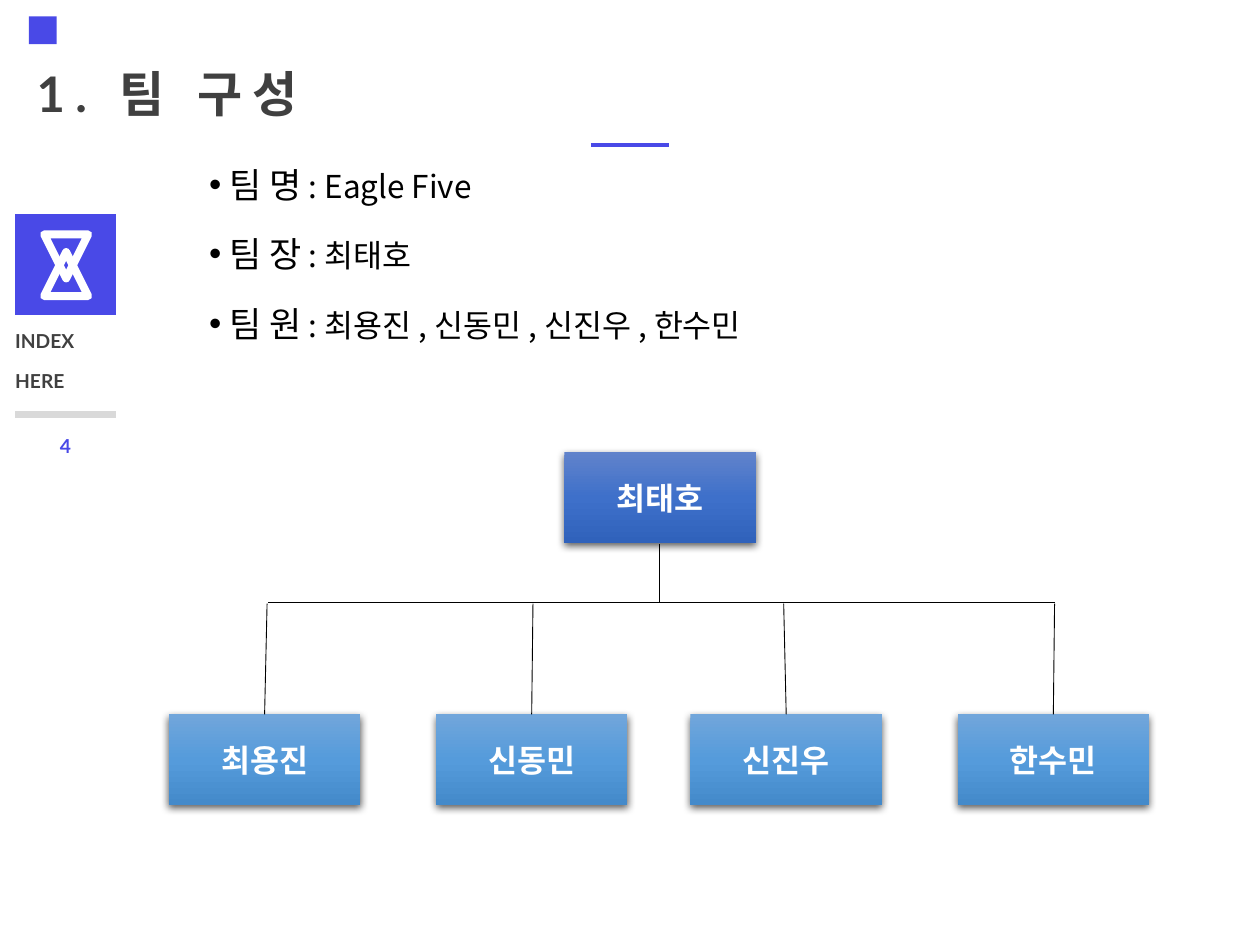
from lxml import etree
from copy import deepcopy
from pptx import Presentation
from pptx.dml.color import RGBColor
from pptx.enum.shapes import MSO_CONNECTOR, MSO_SHAPE
from pptx.enum.text import MSO_ANCHOR, MSO_AUTO_SIZE, PP_ALIGN
from pptx.oxml.ns import qn
from pptx.util import Inches, Pt

RECT, TRI = MSO_SHAPE.RECTANGLE, MSO_SHAPE.ISOSCELES_TRIANGLE
LINE, ELBOW = MSO_CONNECTOR.STRAIGHT, MSO_CONNECTOR.ELBOW
LEFT, MID, JUST = PP_ALIGN.LEFT, PP_ALIGN.CENTER, PP_ALIGN.JUSTIFY
BLUE, DARK, GREY, WHITE, BLACK = "4949E7", "404040", "D9D9D9", "FFFFFF", "000000"
LATO, NOTO = "Lato", "Noto Sans CJK KR"

TITLE = "1. 팀 구성"
INDEX = ["INDEX", "HERE"]
PAGE = "4"
FACTS = [("팀 명", " : Eagle Five"), ("팀 장", " : 최태호"),
         ("팀 원", " : 최용진 , 신동민 , 신진우 , 한수민")]
HEAD = ("최태호", 4.48, 3.59)
TEAM = [("최용진", 1.34), ("신동민", 3.46), ("신진우", 5.48), ("한수민", 7.6)]
ROW, BAR, BOX_W, BOX_H = 5.67, 4.78, 1.52, 0.72
DROPS = [0.02, 0.01, -0.02, 0.01]
HEAD_FILL = ["6183CB", "3E70CA", "3062BB"]
TEAM_FILL = ["71A6DB", "559BDB", "448ACA"]


def rgb(code):
    """Turn a hex string into a colour."""
    return RGBColor.from_string(code)


def write(para, text, size=18, color=BLACK, font=LATO, bold=False, gap=0):
    """Add one formatted run to a paragraph."""
    run = para.add_run()
    run.text = text
    face = run.font
    face.size, face.bold, face.name = Pt(size), bold, font
    face.color.rgb = rgb(color)
    props = run._r.get_or_add_rPr()
    etree.SubElement(props, qn("a:ea")).set("typeface", NOTO)
    if gap:
        props.set("spc", str(gap * 100))


def setup(frame, inset=None, anchor=MSO_ANCHOR.MIDDLE):
    """Set wrap, anchor and margins of a text frame."""
    frame.word_wrap = True
    frame.auto_size = MSO_AUTO_SIZE.NONE
    frame.vertical_anchor = anchor
    if inset is not None:
        frame.margin_left = frame.margin_right = Inches(inset)
        frame.margin_top = frame.margin_bottom = Inches(inset)
    return frame


def place(shape, *spot):
    """Move a shape to left, top, width and height in inches."""
    shape.left, shape.top, shape.width, shape.height = map(Inches, spot)


def block(shapes, kind, spot, fill=None):
    """Add a flat shape without a line."""
    shape = shapes.add_shape(kind, *map(Inches, spot))
    shape.shadow.inherit = False
    if fill:
        shape.fill.solid()
        shape.fill.fore_color.rgb = rgb(fill)
    else:
        shape.fill.background()
    shape.line.fill.background()
    return shape


def link(shapes, start, end, color=BLACK, width=0.5, kind=LINE):
    """Add a connector without a shadow."""
    line = shapes.add_connector(kind, *map(Inches, start + end))
    line.line.color.rgb = rgb(color)
    line.line.width = Pt(width)
    etree.SubElement(line._element.spPr, qn("a:effectLst"))
    return line


def card(shapes, name, left, top, shades):
    """Add a member box with a gradient and a soft shadow."""
    box = block(shapes, RECT, (left, top, BOX_W, BOX_H))
    box.fill.gradient()
    box.fill.gradient_angle = 270
    stops = box._element.spPr.find(".//" + qn("a:gsLst"))
    stops.insert(1, deepcopy(stops[0]))
    for stop, shade, pos in zip(box.fill.gradient_stops, shades, (0, 0.5, 1)):
        stop.color.rgb, stop.position = rgb(shade), pos
    glow = etree.SubElement(box._element.spPr.find(qn("a:effectLst")), qn("a:outerShdw"),
                            blurRad=str(Pt(4.5)), dist=str(Pt(1.5)), dir="5400000",
                            algn="ctr", rotWithShape="0")
    tone = etree.SubElement(glow, qn("a:srgbClr"), val=BLACK)
    etree.SubElement(tone, qn("a:alpha"), val="63000")
    para = setup(box.text_frame).paragraphs[0]
    para.alignment = MID
    write(para, name, color=WHITE, bold=True)


def side(shapes):
    """Draw the accents, the index panel and the page number."""
    block(shapes, RECT, (0.12, 1.7, 0.8, 0.8), BLUE)
    block(shapes, RECT, (0.23, 0.13, 0.22, 0.22), BLUE)
    link(shapes, (4.69, 1.15), (5.31, 1.15), BLUE, 2.5)
    link(shapes, (0.12, 3.29), (0.92, 3.29), GREY, 4)
    for top, turn in ((1.86, 180), (2, 0)):
        tri = block(shapes, TRI, (0.35, top, 0.35, 0.35))
        tri.rotation = turn
        tri.line.color.rgb = rgb(WHITE)
        tri.line.width = Pt(4.5)
    notes = [(INDEX, (0.12, 2.58, 0.8, 0.57), JUST, DARK, 10),
             ([PAGE], (0.12, 3.43, 0.8, 0.21), MID, BLUE, 0)]
    for words, spot, align, color, space in notes:
        frame = setup(shapes.add_textbox(*map(Inches, spot)).text_frame, 0)
        for i, word in enumerate(words):
            para = frame.add_paragraph() if i else frame.paragraphs[0]
            para.alignment, para.space_before = align, Pt(space)
            write(para, word, size=11, color=color, bold=True)


def facts(body):
    """Fill the body with the bulleted team facts."""
    place(body, 1.56, 1.25, 7.5, 1.7)
    frame = setup(body.text_frame, anchor=MSO_ANCHOR.TOP)
    for i, (label, rest) in enumerate(FACTS):
        para = frame.add_paragraph() if i else frame.paragraphs[0]
        para.alignment = LEFT
        para.space_before, para.space_after = Pt(0), Pt(15.5)
        props = para._p.get_or_add_pPr()
        props.set("marL", str(Inches(0.16)))
        props.set("indent", str(-Inches(0.16)))
        etree.SubElement(props, qn("a:buFont")).set("typeface", "Arial")
        etree.SubElement(props, qn("a:buChar")).set("char", "•")
        write(para, label, size=20, font=NOTO)
        write(para, rest, font=NOTO)


def chart(shapes):
    """Draw the team tree."""
    card(shapes, *HEAD, HEAD_FILL)
    for name, left in TEAM:
        card(shapes, name, left, ROW, TEAM_FILL)
    elbow = link(shapes, (3.45, 3), (3.91, 6.1), kind=ELBOW)
    elbow._element.spPr.find(qn("a:prstGeom")).set("prst", "bentConnector2")
    elbow._element.spPr.find(qn("a:xfrm")).set("rot", "5400000")
    link(shapes, (5.23, BAR), (8.37, BAR))
    for (name, left), lean in zip(TEAM, DROPS):
        mid = left + BOX_W / 2
        link(shapes, (mid + lean, BAR + 0.01), (mid, ROW))


def main():
    """Build the team slide."""
    deck = Presentation()
    deck.slide_width, deck.slide_height = Inches(10), Inches(7.5)
    slide = deck.slides.add_slide(deck.slide_layouts[1])
    head = slide.shapes.title
    place(head, 0.29, 0.47, 5.49, 0.59)
    para = setup(head.text_frame, 0).paragraphs[0]
    para.alignment, para.line_spacing = LEFT, 0.9
    write(para, TITLE, size=28, color=DARK, bold=True, gap=6)
    facts(slide.placeholders[1])
    side(slide.shapes)
    chart(slide.shapes)
    deck.save("out.pptx")


if __name__ == "__main__":
    main()
